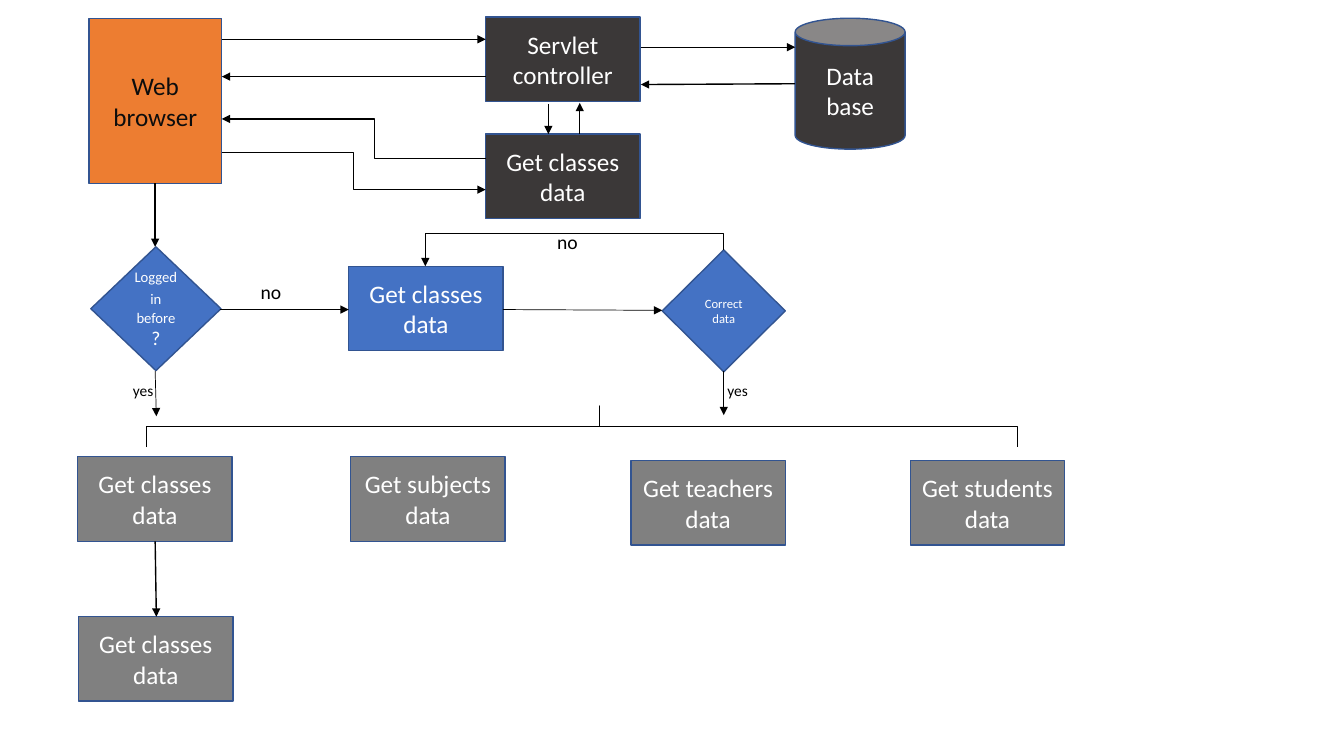
from dataclasses import dataclass
from lxml.etree import SubElement
from pptx import Presentation
from pptx.dml.color import RGBColor
from pptx.enum.shapes import MSO_CONNECTOR, MSO_SHAPE
from pptx.enum.text import MSO_ANCHOR, PP_ALIGN
from pptx.oxml.ns import qn
from pptx.util import Cm, Pt

COLOURS = {
    "browser": "ED7D31", "server": "3B3838", "decision": "4472C4", "action": "808080",
    "outline": "325491", "light": "FFFFFF", "dark": "0D0D0D", "black": "000000",
}
FONT = "Calibri"
BOX_WIDTH, BOX_HEIGHT = 3.89, 2.13


@dataclass
class Node:
    """A filled flowchart shape; each paragraph is a list of (text, size) runs."""
    left: float
    top: float
    fill: str
    paragraphs: list[list[tuple[str, float]]]
    width: float = BOX_WIDTH
    height: float = BOX_HEIGHT
    preset: MSO_SHAPE = MSO_SHAPE.RECTANGLE
    text_colour: str = "light"


@dataclass
class Arrow:
    """An arrow between two points; a bend makes it an elbow."""
    start: tuple[float, float]
    end: tuple[float, float]
    weight: float = 1
    bend: float | None = None
    upright: bool = False


@dataclass
class Label:
    """A short answer beside an arrow."""
    text: str
    left: float
    top: float
    size: float
    width: float
    height: float


def one_line(text: str, size: float = 18) -> list[list[tuple[str, float]]]:
    """Return a single paragraph holding a single run."""
    return [[(text, size)]]


NODES = [
    Node(2.24, 0.46, "browser", one_line("Web browser"), 3.35, 4.17, text_colour="dark"),
    Node(12.24, 0.43, "server", one_line("Servlet controller")),
    Node(12.24, 3.38, "server", one_line("Get classes data")),
    Node(20.04, 0.46, "server", [[("Data", 18)], [("base", 18)]], 2.77, 3.3, MSO_SHAPE.CAN),
    Node(2.29, 6.22, "decision",
         [[("Logged", 10.5)], [("in", 10.5), (" ", 14), ("before", 10.5), ("?", 14)]],
         3.28, 3.12, MSO_SHAPE.DIAMOND),
    Node(8.79, 6.71, "decision", one_line("Get classes data")),
    Node(16.69, 6.3, "decision", one_line("Correct data", 9), 3.1, 3.07, MSO_SHAPE.DIAMOND),
    Node(1.96, 11.51, "action", one_line("Get classes data")),
    Node(8.84, 11.51, "action", one_line("Get subjects data")),
    Node(15.9, 11.61, "action", one_line("Get teachers data")),
    Node(22.94, 11.61, "action", one_line("Get students data")),
    Node(1.98, 15.54, "action", one_line("Get classes data")),
]

ARROWS = [
    Arrow((3.91, 4.62), (3.91, 6.22)),
    Arrow((5.59, 0.99), (12.24, 0.99)),
    Arrow((12.24, 1.93), (5.59, 1.93)),
    Arrow((16.15, 1.19), (20.04, 1.19)),
    Arrow((20.04, 2.11), (16.15, 2.13)),
    Arrow((5.59, 3.84), (12.24, 4.78), bend=0.5),
    Arrow((12.24, 3.99), (5.59, 3.0), bend=0.42),
    Arrow((12.67, 7.8), (16.69, 7.82), 0.5),
    Arrow((5.54, 7.8), (8.79, 7.8)),
    Arrow((13.82, 2.62), (13.82, 3.38), 0.5),
    Arrow((14.61, 3.38), (14.61, 2.59), 0.5),
    Arrow((3.91, 13.64), (3.94, 15.54)),
    Arrow((3.91, 9.35), (3.94, 10.49), 0.5),
    Arrow((18.24, 9.35), (18.24, 10.46), 0.5),
    Arrow((18.24, 6.3), (10.72, 6.71), bend=-1, upright=True),
]

LABELS = [
    Label("yes", 3.1, 9.47, 11, 1.19, 0.74),
    Label("yes", 18.08, 9.47, 11, 1.19, 0.74),
    Label("no", 6.32, 6.93, 14, 1.17, 0.86),
    Label("no", 13.79, 5.66, 14, 1.17, 0.86),
]


def colour(name: str) -> RGBColor:
    """Look up a named colour."""
    return RGBColor.from_string(COLOURS[name])


def format_run(run, size: float, colour_name: str) -> None:
    """Give a run its font, size and colour."""
    run.font.name = FONT
    run.font.size = Pt(size)
    run.font.color.rgb = colour(colour_name)


def set_line(line, colour_name: str, weight: float) -> None:
    """Give an outline or connector its colour and weight."""
    line.color.rgb = colour(colour_name)
    line.width = Pt(weight)


def draw_node(slide, node: Node) -> None:
    """Draw a flowchart shape with centred text."""
    shape = slide.shapes.add_shape(
        node.preset, Cm(node.left), Cm(node.top), Cm(node.width), Cm(node.height))
    shape.shadow.inherit = False
    shape.fill.solid()
    shape.fill.fore_color.rgb = colour(node.fill)
    set_line(shape.line, "outline", 1)
    text_frame = shape.text_frame
    text_frame.word_wrap = True
    text_frame.vertical_anchor = MSO_ANCHOR.MIDDLE
    for index, runs in enumerate(node.paragraphs):
        paragraph = text_frame.add_paragraph() if index else text_frame.paragraphs[0]
        paragraph.alignment = PP_ALIGN.CENTER
        for text, size in runs:
            run = paragraph.add_run()
            run.text = text
            format_run(run, size, node.text_colour)


def draw_arrow(slide, arrow: Arrow) -> None:
    """Draw a straight or elbow connector with a triangle at its end."""
    (start_x, start_y), (end_x, end_y) = arrow.start, arrow.end
    if arrow.upright:  # leaves vertically: a quarter turn about the centre
        middle_x, middle_y = (start_x + end_x) / 2, (start_y + end_y) / 2
        half_x, half_y = (end_y - start_y) / 2, (start_x - end_x) / 2
        start_x, start_y = middle_x + half_x, middle_y + half_y
        end_x, end_y = middle_x - half_x, middle_y - half_y
    kind = MSO_CONNECTOR.STRAIGHT if arrow.bend is None else MSO_CONNECTOR.ELBOW
    connector = slide.shapes.add_connector(
        kind, Cm(start_x), Cm(start_y), Cm(end_x), Cm(end_y))
    set_line(connector.line, "black", arrow.weight)
    properties = connector._element.spPr
    SubElement(properties.find(qn("a:ln")), qn("a:tailEnd"), type="triangle")
    SubElement(properties, qn("a:effectLst"))
    if arrow.upright:
        properties.find(qn("a:xfrm")).set("rot", str(270 * 60000))
    if arrow.bend is not None:
        adjustments = properties.find(qn("a:prstGeom")).get_or_add_avLst()
        SubElement(adjustments, qn("a:gd"), name="adj1",
                   fmla=f"val {round(arrow.bend * 100000)}")


def draw_brace(slide) -> None:
    """Draw the square brace that spans the row of actions."""
    brace = slide.shapes.add_shape(
        MSO_SHAPE.LEFT_BRACE, Cm(14.15), Cm(-0.23), Cm(1.04), Cm(21.95))
    brace.rotation = 90
    brace.adjustments[0], brace.adjustments[1] = 0, 0.48
    brace.shadow.inherit = False
    brace.fill.background()
    set_line(brace.line, "black", 0.5)


def draw_label(slide, label: Label) -> None:
    """Write an answer beside its arrow."""
    shape = slide.shapes.add_textbox(
        Cm(label.left), Cm(label.top), Cm(label.width), Cm(label.height))
    shape.text_frame.word_wrap = True
    shape.text_frame.text = label.text
    format_run(shape.text_frame.paragraphs[0].runs[0], label.size, "black")


def main() -> None:
    """Build and save the slide."""
    presentation = Presentation()
    presentation.slide_width, presentation.slide_height = Cm(33.87), Cm(19.05)
    slide = presentation.slides.add_slide(presentation.slide_layouts[6])
    for node in NODES:
        draw_node(slide, node)
    for arrow in ARROWS:
        draw_arrow(slide, arrow)
    draw_brace(slide)
    for label in LABELS:
        draw_label(slide, label)
    presentation.save("out.pptx")


main()
